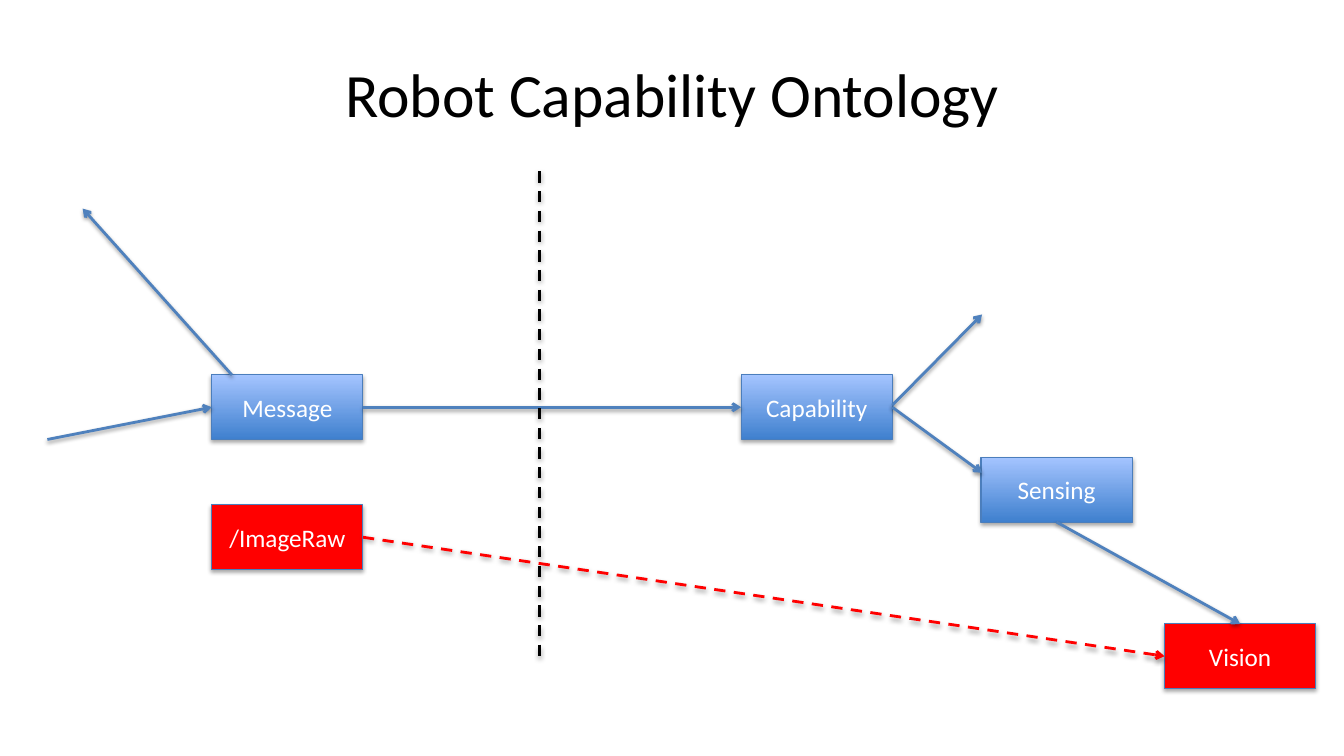
from dataclasses import dataclass

from lxml import etree
from pptx import Presentation
from pptx import util as u
from pptx.dml.color import RGBColor
from pptx.enum import dml, shapes, text
from pptx.oxml import ns

PX = u.Inches(1) // 100
FONT = "Calibri"
BOX_W, BOX_H = 150, 64
COLOURS = {
    "black": "000000",
    "white": "FFFFFF",
    "red": "FF0000",
    "arrow": "4F81BD",
    "border": "4B7EBC",
    "box_bottom": "3F80CE",
    "box_top": "A4C4FF",
}


@dataclass(frozen=True)
class Concept:
    label: str
    left: int
    top: int
    highlighted: bool = False


@dataclass(frozen=True)
class Relation:
    start: tuple[int, int]
    end: tuple[int, int]
    colour: str = "arrow"
    dashed: bool = False
    arrow: bool = True


CONCEPTS = [
    Concept("Capability", 735, 372),
    Concept("Message", 210, 372),
    Concept("/ImageRaw", 210, 501, highlighted=True),
    Concept("Sensing", 973, 454),
    Concept("Vision", 1155, 619, highlighted=True),
]
RELATIONS = [
    Relation((360, 404), (735, 404)),
    Relation((230, 372), (82, 207)),
    Relation((885, 402), (974, 312)),
    Relation((885, 404), (974, 469)),
    Relation((47, 436), (210, 404)),
    Relation((535, 170), (535, 651), "black", dashed=True, arrow=False),
    Relation((1048, 518), (1230, 619)),
    Relation((360, 533), (1155, 651), "red", dashed=True),
]


def px(length: int) -> u.Emu:
    return u.Emu(length * PX)


def rgb(name: str) -> RGBColor:
    return RGBColor.from_string(COLOURS[name])


def add_shadow(shape, distance: float, opacity: int) -> None:
    """Cast a soft black shadow straight down; distance in points, opacity in percent."""
    effects = etree.SubElement(shape._element.spPr, ns.qn("a:effectLst"))
    shadow = etree.SubElement(
        effects, ns.qn("a:outerShdw"), blurRad=str(u.Pt(3.1)),
        dist=str(u.Pt(distance)), dir="5400000", rotWithShape="0")
    colour = etree.SubElement(shadow, ns.qn("a:srgbClr"), val=COLOURS["black"])
    etree.SubElement(colour, ns.qn("a:alpha"), val=str(opacity * 1000))


def add_concept(slide, concept: Concept) -> None:
    box = slide.shapes.add_shape(
        shapes.MSO_SHAPE.RECTANGLE,
        px(concept.left), px(concept.top), px(BOX_W), px(BOX_H))
    if concept.highlighted:
        box.fill.solid()
        box.fill.fore_color.rgb = rgb("red")
    else:
        box.fill.gradient()
        box.fill.gradient_angle = 90
        for stop, position, name in zip(
                box.fill.gradient_stops, (0, 1), ("box_bottom", "box_top")):
            stop.position = position
            stop.color.rgb = rgb(name)
    box.line.color.rgb = rgb("border")
    box.line.width = u.Pt(0.75)
    add_shadow(box, 1.8, 35)

    box.text_frame.vertical_anchor = text.MSO_ANCHOR.MIDDLE
    label = box.text_frame.paragraphs[0]
    label.text = concept.label
    label.alignment = text.PP_ALIGN.CENTER
    label.font.name = FONT
    label.font.size = u.Pt(18)
    label.font.color.rgb = rgb("white")


def add_relation(slide, relation: Relation) -> None:
    connector = slide.shapes.add_connector(
        shapes.MSO_CONNECTOR.STRAIGHT,
        *map(px, relation.start), *map(px, relation.end))
    connector.line.color.rgb = rgb(relation.colour)
    connector.line.width = u.Pt(2)
    if relation.dashed:
        connector.line.dash_style = dml.MSO_LINE.DASH
    if relation.arrow:
        outline = connector._element.spPr.find(ns.qn("a:ln"))
        etree.SubElement(outline, ns.qn("a:tailEnd"), type="arrow")
    add_shadow(connector, 1.6, 38)


def add_title(slide) -> None:
    title = slide.shapes.title
    title.left, title.top, title.width, title.height = map(px, (67, 30, 1200, 125))
    title.text_frame.vertical_anchor = text.MSO_ANCHOR.MIDDLE
    heading = title.text_frame.paragraphs[0]
    heading.text = "Robot Capability Ontology"
    heading.alignment = text.PP_ALIGN.CENTER
    heading.font.name = FONT
    heading.font.size = u.Pt(44)
    heading.font.color.rgb = rgb("black")


def main() -> None:
    deck = Presentation()
    deck.slide_width, deck.slide_height = px(1333), px(750)
    slide = deck.slides.add_slide(deck.slide_layouts.get_by_name("Title Only"))
    add_title(slide)
    for concept in CONCEPTS:
        add_concept(slide, concept)
    for relation in RELATIONS:
        add_relation(slide, relation)
    deck.save("out.pptx")


if __name__ == "__main__":
    main()
